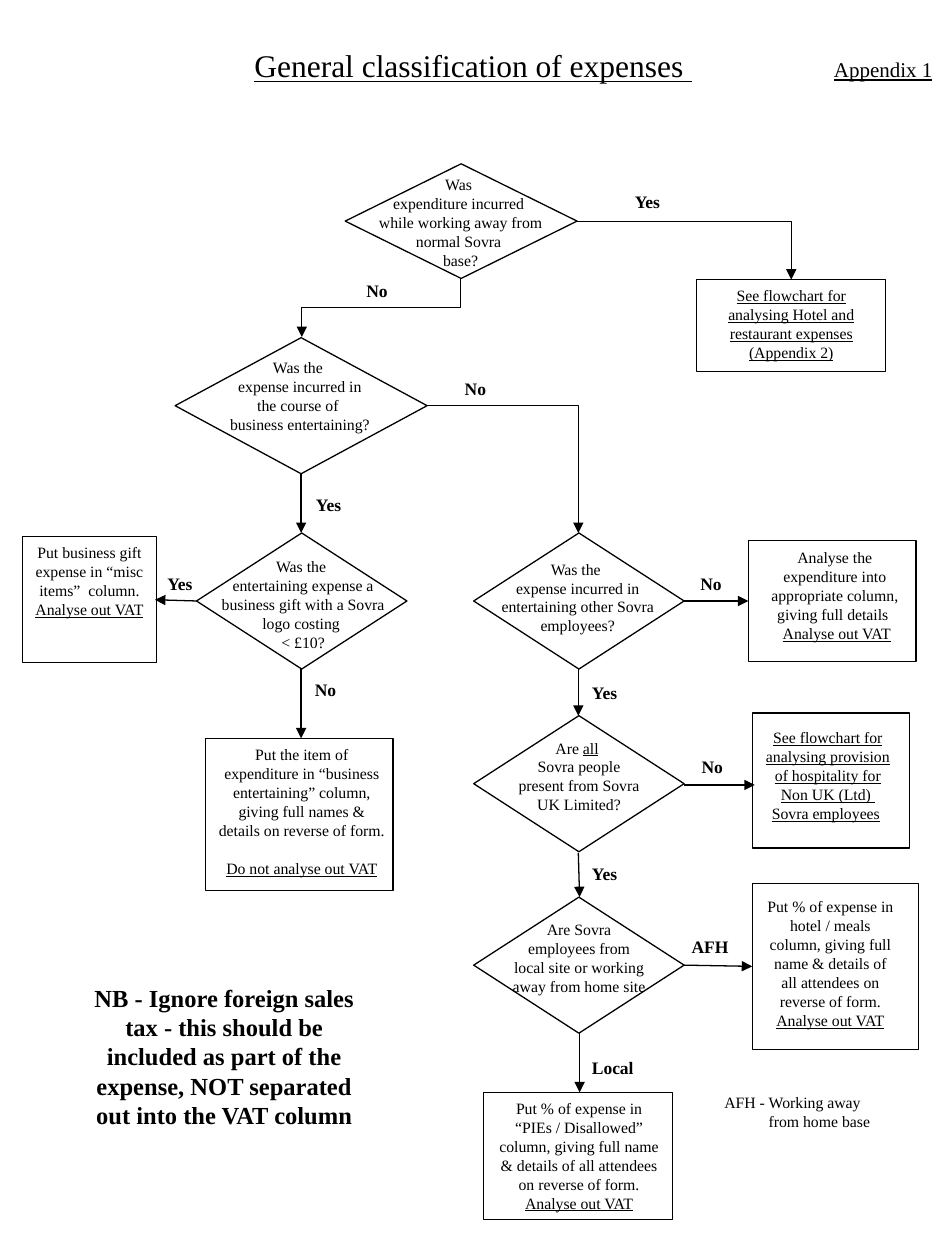
import pptx
import pptx.util
import pptx.dml.color
import pptx.enum.shapes
import pptx.enum.text
import pptx.oxml
import pptx.oxml.ns

Inches = pptx.util.Inches
Pt = pptx.util.Pt
SHAPES = pptx.enum.shapes.MSO_SHAPE
CONNECTORS = pptx.enum.shapes.MSO_CONNECTOR
ALIGN = pptx.enum.text.PP_ALIGN
COLORS = {"ink": "000000"}
INK = pptx.dml.color.RGBColor.from_string(COLORS["ink"])

prs = pptx.Presentation()
prs.slide_width, prs.slide_height = Inches(7.5), Inches(10)
slide = prs.slides.add_slide(prs.slide_layouts[6])


def add_text(text, at, size=9, bold=False, align=ALIGN.CENTER, wrap=True,
             gap=0, hanging=0):
    """Newline starts a paragraph, | breaks a line, _..._ underlines."""
    box = slide.shapes.add_textbox(*[Inches(v) for v in at])
    frame = box.text_frame
    frame.word_wrap = wrap
    for p, content in enumerate(text.split("\n")):
        para = frame.paragraphs[0] if p == 0 else frame.add_paragraph()
        para.alignment = align
        if p and gap:
            para.space_before = Pt(gap)
        if hanging:
            props = para._p.get_or_add_pPr()
            props.set("marL", str(Inches(hanging)))
            props.set("indent", str(-Inches(hanging)))
        for n, line in enumerate(content.split("|")):
            if n:
                para.add_line_break()
            for r, part in enumerate(line.split("_")):
                if part:
                    run = para.add_run()
                    run.text = part
                    run.font.underline = r % 2 == 1
        para.font.size = Pt(size)
        for run in para.runs:
            run.font.name = "Times New Roman"
            run.font.size = Pt(size)
            run.font.bold = bold
            run.font.color.rgb = INK


def add_arrow(x1, y1, x2, y2, bend=None, width=0.75, rotation=0):
    kind = CONNECTORS.ELBOW if bend else CONNECTORS.STRAIGHT
    arrow = slide.shapes.add_connector(kind, *[Inches(v) for v in (x1, y1, x2, y2)])
    arrow.line.color.rgb = INK
    arrow.line.width = Pt(width)
    props = arrow._element.spPr
    if bend:
        props.find(pptx.oxml.ns.qn("a:prstGeom")).set("prst", bend)
    if rotation:
        props.find(pptx.oxml.ns.qn("a:xfrm")).set("rot", str(rotation * 60000))
    head = pptx.oxml.parse_xml(
        '<a:tailEnd %s type="triangle" w="med" len="med"/>' % pptx.oxml.ns.nsdecls("a"))
    arrow.line._get_or_add_ln().append(head)
    props.append(pptx.oxml.parse_xml("<a:effectLst %s/>" % pptx.oxml.ns.nsdecls("a")))


# Headings
add_text("_General classification of expenses _", (1.92, 0.32, 3.67, 0.4),
         size=18, wrap=False)
add_text("_Appendix 1_", (6.52, 0.4, 0.98, 0.3), size=12, wrap=False)

# Questions and outcomes: outline position, text position, text
questions = [
    ((2.74, 1.3, 1.84, 0.91), (2.87, 1.34, 1.57, 0.85),
     "Was |expenditure incurred \nwhile working away from normal Sovra \nbase?"),
    ((1.39, 2.68, 2, 1.08), (1.68, 2.79, 1.4, 0.7),
     "Was the \nexpense incurred in|the course of |business entertaining?"),
    ((1.56, 4.23, 1.67, 1.08), (1.63, 4.37, 1.55, 0.86),
     "Was the |entertaining expense a business gift with a Sovra logo costing |< £10?"),
    ((3.76, 4.23, 1.67, 1.08), (3.7, 4.39, 1.77, 0.7),
     "Was the |expense incurred in entertaining other Sovra employees?"),
    ((3.76, 5.68, 1.67, 1.08), (3.97, 5.81, 1.25, 0.85),
     "Are _all_ |Sovra people|present from Sovra|UK Limited?"),
    ((3.76, 7.12, 1.67, 1.08), (3.97, 7.25, 1.25, 0.7),
     "Are Sovra employees from local site or working away from home site"),
]
outcomes = [
    ((5.53, 2.22, 1.5, 0.73), (5.53, 2.22, 1.5, 0.7),
     "_See flowchart for analysing Hotel and restaurant expenses_|_(Appendix 2)_"),
    ((0.18, 4.26, 1.06, 1), (0.18, 4.26, 1.06, 0.85),
     "Put business gift expense in “misc items”  column. _Analyse out VAT_"),
    ((5.94, 4.29, 1.33, 0.96), (5.95, 4.3, 1.35, 0.85),
     "Analyse the expenditure into appropriate column, giving full details | _Analyse out VAT_"),
    ((1.63, 5.86, 1.49, 1.21), (1.61, 5.86, 1.57, 1.16),
     "Put the item of|expenditure in “business|entertaining” column,|giving full "
     "names &|details on reverse of form.\n_Do not analyse out VAT_"),
    ((5.97, 5.66, 1.25, 1.07), (5.98, 5.73, 1.18, 0.85),
     "_See flowchart for analysing provision of hospitality for_|_Non UK (Ltd) _|"
     "_Sovra employees_ "),
    ((5.97, 7.01, 1.32, 1.32), (5.97, 7.07, 1.24, 1.16),
     "Put % of expense in hotel / meals column, giving full name & details of all "
     "attendees on reverse of form. _Analyse out VAT_"),
    ((3.84, 8.67, 1.5, 1.01), (3.84, 8.67, 1.51, 1.01),
     "Put % of expense in “PIEs / Disallowed” column, giving full name & details "
     "of all attendees on reverse of form. _Analyse out VAT_"),
]
for preset, steps, gap in ((SHAPES.FLOWCHART_DECISION, questions, 0),
                           (SHAPES.FLOWCHART_PROCESS, outcomes, 11)):
    for outline_at, text_at, wording in steps:
        outline = slide.shapes.add_shape(preset, *[Inches(v) for v in outline_at])
        outline.shadow.inherit = False
        outline.fill.background()
        outline.line.color.rgb = INK
        outline.line.width = Pt(0.75)
        add_text(wording, text_at, gap=gap)

# Straight arrows
for route in [
    (2.39, 3.76, 2.39, 4.23), (1.56, 4.77, 1.23, 4.76), (2.39, 5.31, 2.39, 5.86),
    (4.59, 5.31, 4.59, 5.68), (5.42, 4.77, 5.94, 4.77), (4.59, 6.77, 4.6, 7.12),
    (5.43, 6.23, 5.99, 6.23), (5.43, 7.66, 5.97, 7.67), (4.6, 8.2, 4.6, 8.67),
]:
    add_arrow(*route)

# Elbow arrows
add_arrow(4.57, 1.76, 6.28, 2.22, bend="bentConnector2", width=0.5)
add_arrow(3.39, 3.22, 4.59, 4.23, bend="bentConnector2")
add_arrow(2.79, 1.81, 3.26, 3.07, bend="bentConnector3", rotation=90)

# Answers beside the arrows
for answer, left, top, width in [
    ("Yes", 4.94, 1.47, 0.41), ("No", 2.81, 2.17, 0.37), ("No", 3.59, 2.95, 0.37),
    ("Yes", 2.41, 3.87, 0.46), ("Yes", 1.23, 4.5, 0.43), ("No", 2.4, 5.34, 0.37),
    ("No", 5.46, 4.5, 0.37), ("Yes", 4.6, 5.36, 0.47), ("No", 5.47, 5.95, 0.37),
    ("Yes", 4.6, 6.8, 0.47), ("AFH", 5.39, 7.38, 0.49), ("Local", 4.6, 8.34, 0.53),
]:
    add_text(answer, (left, top, width, 0.27), size=10, bold=True,
             align=ALIGN.LEFT, wrap=False)

# Notes at the foot
add_text("AFH - Working away| from home base", (5.65, 8.62, 1.92, 0.4),
         align=ALIGN.LEFT, hanging=0.32)
add_text("NB - Ignore foreign sales tax - this should be included as part of the "
         "expense, NOT separated out into the VAT column",
         (0.61, 7.75, 2.34, 1.27), size=14, bold=True)

prs.save("out.pptx")
